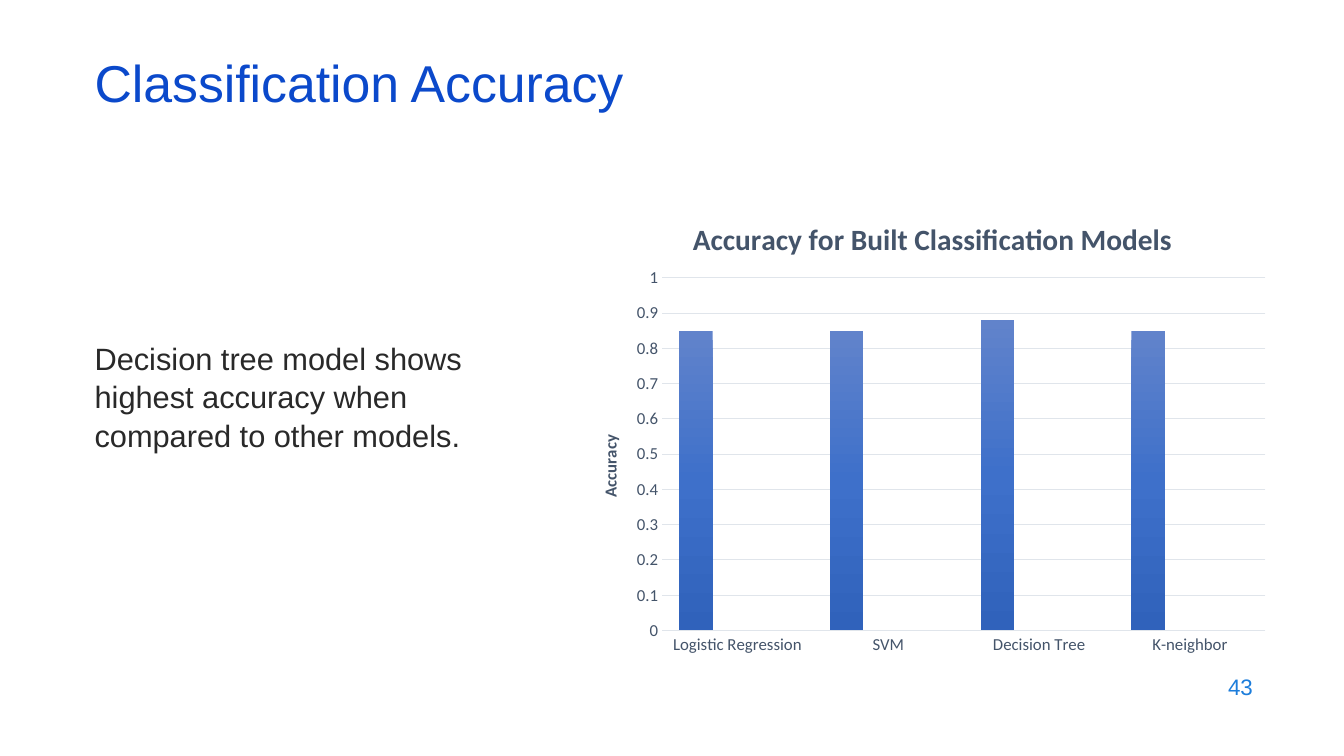
from pptx import Presentation
from pptx.chart.data import CategoryChartData
from pptx.dml.color import RGBColor
from pptx.enum.chart import XL_CHART_TYPE, XL_TICK_MARK
from pptx.enum.text import MSO_ANCHOR, PP_ALIGN
from pptx.oxml import parse_xml
from pptx.oxml.ns import nsdecls, qn
from pptx.util import Pt

SLATE = "44546A"
GRID = "E0E5EB"
MODELS = ["Logistic Regression", "SVM", "Decision Tree", "K-neighbor"]
SERIES = [
    ("Series 1", [0.85, 0.85, 0.88, 0.85], ["6183CB", "3E70CA", "3062BB"]),
    ("Series 2", [None] * 4, ["F18C57", "F67B28", "E56C19"]),
    ("Series 3", [None] * 4, ["AFAFAF", "A5A5A5", "939393"]),
]


def color(value):
    """Turn a hex string into a colour."""
    return RGBColor.from_string(value)


def set_font(font, name, size, hex_color, bold=False):
    """Format a font."""
    font.name = name
    font.size = Pt(size)
    font.bold = bold
    font.color.rgb = color(hex_color)


def add_text(slide, box, text, size, hex_color, align=PP_ALIGN.LEFT,
             anchor=MSO_ANCHOR.TOP, spacing=1.0):
    """Add a wrapped one-paragraph text box."""
    frame = slide.shapes.add_textbox(*map(Pt, box)).text_frame
    frame.word_wrap = True
    frame.vertical_anchor = anchor
    paragraph = frame.paragraphs[0]
    paragraph.alignment = align
    paragraph.line_spacing = spacing
    run = paragraph.add_run()
    run.text = text
    set_font(run.font, "Arial", size, hex_color)


def set_layout(element, index, target="", **fractions):
    """Place a chart part by fractions of the chart size."""
    for layout in element.findall(qn("c:layout")):
        element.remove(layout)
    modes = "".join(f'<c:{key}Mode val="edge"/>' for key in "xy")
    values = "".join(f'<c:{key} val="{value}"/>' for key, value in fractions.items())
    element.insert(index, parse_xml(
        f'<c:layout {nsdecls("c")}><c:manualLayout>{target}{modes}{values}'
        '</c:manualLayout></c:layout>'))


def set_title(title, text, size, x, y):
    """Write and place a bold chart or axis title."""
    paragraph = title.text_frame.paragraphs[0]
    run = paragraph.add_run()
    run.text = text
    set_font(run.font, "Calibri", size, SLATE, bold=True)
    set_layout(title._element, 1, x=x, y=y)


def set_gradient(series, colors):
    """Fill a series with an even vertical gradient."""
    series.format.fill.solid()
    properties = series.format.fill._xPr
    solid = properties.find(qn("a:solidFill"))
    step = 100000 // (len(colors) - 1)
    stops = "".join(f'<a:gs pos="{i * step}"><a:srgbClr val="{value}"/></a:gs>'
                    for i, value in enumerate(colors))
    properties.replace(solid, parse_xml(
        f'<a:gradFill {nsdecls("a")} rotWithShape="1"><a:gsLst>{stops}</a:gsLst>'
        '<a:lin ang="5400000" scaled="0"/></a:gradFill>'))


def style_axes(chart):
    """Format both axes and the grid lines."""
    for axis in (chart.category_axis, chart.value_axis):
        axis.major_tick_mark = axis.minor_tick_mark = XL_TICK_MARK.NONE
        set_font(axis.tick_labels.font, "Calibri", 12, SLATE)
    values = chart.value_axis
    values.minimum_scale, values.maximum_scale, values.major_unit = 0, 1, 0.1
    values.format.line.fill.background()
    for line in (chart.category_axis.format.line, values.major_gridlines.format.line):
        line.color.rgb = color(GRID)
        line.width = Pt(0.75)
    values.has_title = True
    set_title(values.axis_title, "Accuracy", 12, x=0.03, y=0.51)


def add_accuracy_chart(slide, box):
    """Add the column chart of model accuracy."""
    data = CategoryChartData()
    data.categories = MODELS
    for name, values, _ in SERIES:
        data.add_series(name, values)
    chart = slide.shapes.add_chart(
        XL_CHART_TYPE.COLUMN_CLUSTERED, *map(Pt, box), data).chart
    set_font(chart.font, "Calibri", 10, "000000")
    chart.has_legend = False
    chart.has_title = True
    set_title(chart.chart_title, "Accuracy for Built Classification Models", 21,
              x=0.16, y=0.05)
    plot = chart.plots[0]
    plot.gap_width, plot.overlap, plot.vary_by_categories = 100, -24, False
    for series, (_, _, colors) in zip(plot.series, SERIES):
        set_gradient(series, colors)
    style_axes(chart)
    set_layout(chart._chartSpace.chart.plotArea, 0,
               '<c:layoutTarget val="inner"/>', x=0.124, y=0.186, w=0.856, h=0.743)


def add_accuracy_slide(presentation):
    """Add the classification accuracy slide."""
    slide = presentation.slides.add_slide(presentation.slide_layouts[6])
    add_text(slide, (686, 474.5, 216, 31.5), "43", 16, "1C7DDB",
             align=PP_ALIGN.RIGHT, anchor=MSO_ANCHOR.MIDDLE)
    add_text(slide, (60.5, 237.5, 303, 227),
             "Decision tree model shows highest accuracy when compared to other models.",
             22, "292929", spacing=1.05)
    add_text(slide, (60.5, 42.5, 828, 43), "Classification Accuracy", 37, "0B49CB",
             anchor=MSO_ANCHOR.MIDDLE, spacing=0.7)
    add_accuracy_chart(slide, (410.5, 135.5, 503.5, 339))


def main():
    """Build and save the presentation."""
    presentation = Presentation()
    presentation.slide_width, presentation.slide_height = Pt(960), Pt(540)
    add_accuracy_slide(presentation)
    presentation.save("out.pptx")


if __name__ == "__main__":
    main()
